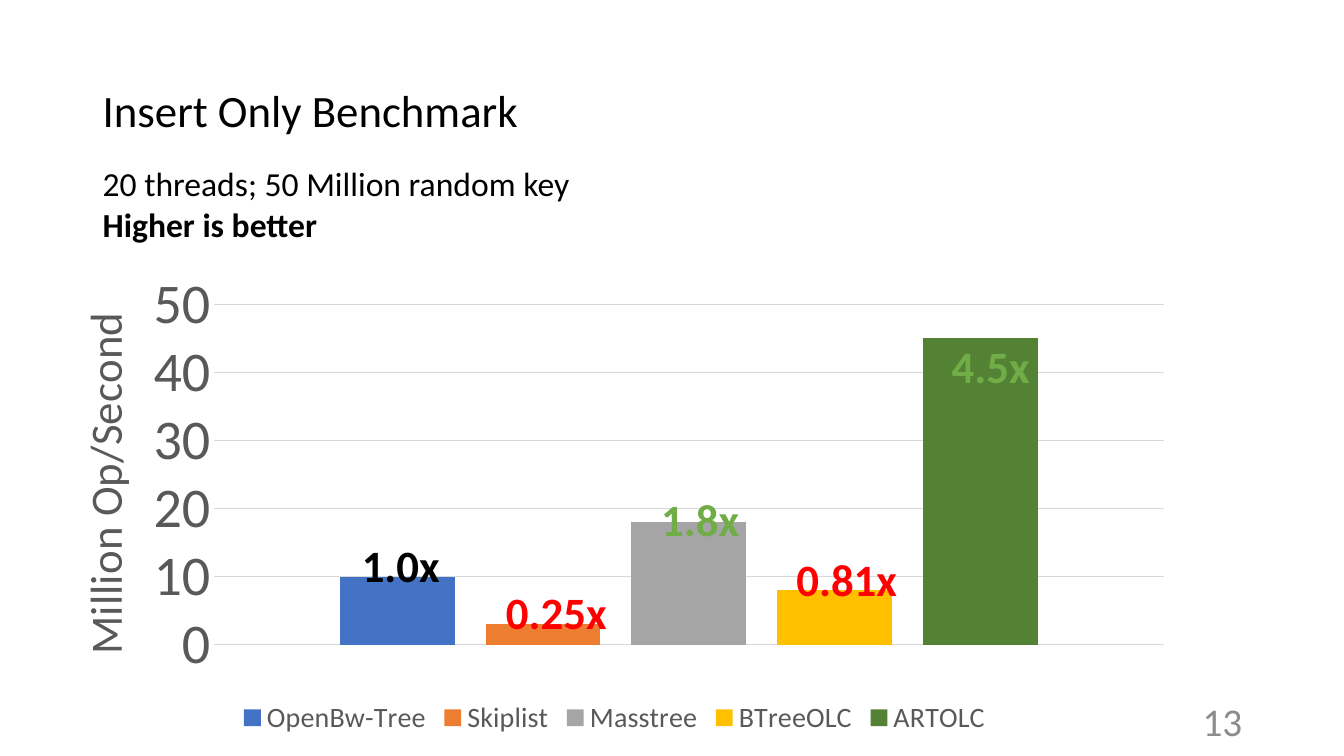
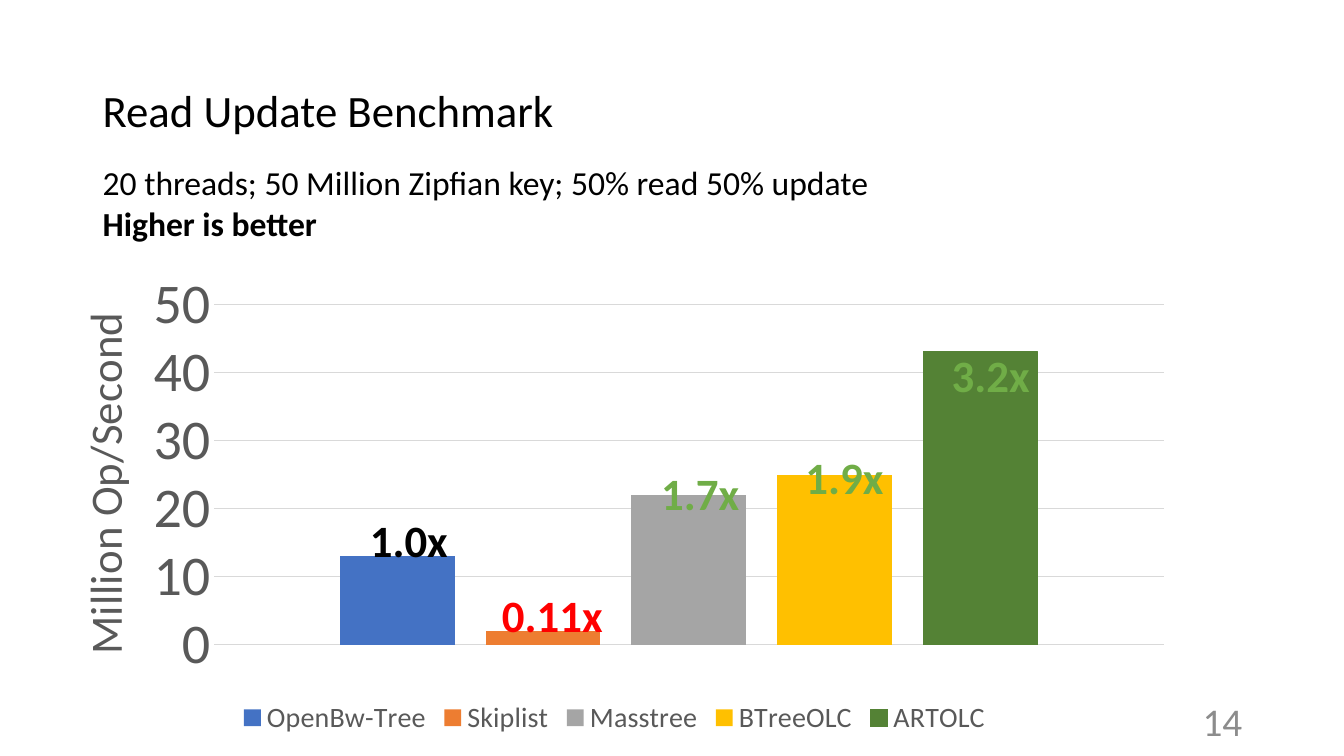
"""Build two benchmark slides, each with a column chart and speed-up labels."""
from lxml import etree
from pptx import Presentation
from pptx.chart.data import CategoryChartData as Data
from pptx.dml.color import RGBColor as RGB
from pptx.enum.chart import XL_CHART_TYPE as Kind, XL_LEGEND_POSITION as Side, XL_TICK_MARK as Tick
from pptx.enum.text import MSO_ANCHOR as Anchor, MSO_AUTO_SIZE as Auto, PP_ALIGN as Align
from pptx.oxml.ns import qn
from pptx.util import Inches, Pt

HUES = {"ink": "000000", "axis": "595959", "grid": "D9D9D9", "page": "8C8C8C",
        "slow": "FF0000", "fast": "70AD47"}
TREES = {"OpenBw-Tree": "4472C4", "Skiplist": "ED7D31", "Masstree": "A5A5A5",
         "BTreeOLC": "FFC000", "ARTOLC": "548235"}
FONTS = {"title": (32, False, "ink"), "note": (24, False, "ink"), "strong": (24, True, "ink"),
         "page": (28, False, "page"), "name": (32, False, "axis"), "tick": (40, False, "axis"),
         "key": (20, False, "axis"), "base": (32, True, "ink"), "slow": (32, True, "slow"),
         "fast": (32, True, "fast")}
DECK = [
    {"title": "Insert Only Benchmark", "page": 13,
     "note": "20 threads; 50 Million random key", "box": (0.92, 1.57, 5.12, 0.91),
     "rates": [10, 3, 18, 8, 45], "edge": None,
     "gains": [("1.0x", "base", 3.49, 5.29), ("0.25x", "slow", 4.92, 5.75),
               ("1.8x", "fast", 6.46, 4.83), ("0.81x", "slow", 7.8, 5.42),
               ("4.5x", "fast", 9.34, 3.31)]},
    {"title": "Read Update Benchmark", "page": 14,
     "note": "20 threads; 50 Million Zipfian key; 50% read 50% update",
     "box": (0.92, 1.56, 8.04, 0.91),
     "rates": [13, 2, 22, 25, 43], "edge": "ARTOLC",
     "gains": [("1.0x", "base", 3.57, 5.04), ("0.11x", "slow", 4.88, 5.78),
               ("1.7x", "fast", 6.46, 4.57), ("1.9x", "fast", 7.89, 4.41),
               ("3.2x", "fast", 9.34, 3.4)]},
]


def style(font, look):
    size, bold, hue = FONTS[look]
    for key, val in {"name": "Calibri", "size": Pt(size), "bold": bold}.items():
        setattr(font, key, val)
    font.color.rgb = RGB.from_string(HUES[hue])


def write(slide, box, lines, **form):
    frame = slide.shapes.add_textbox(*map(Inches, box)).text_frame
    for key, val in form.items():
        setattr(frame, key, val)
    for i, (text, look) in enumerate(lines):
        para = frame.add_paragraph() if i else frame.paragraphs[0]
        run = para.add_run()
        run.text = text
        style(run.font, look)
    return frame.paragraphs[0]


FIXED = {"word_wrap": True, "vertical_anchor": Anchor.MIDDLE}
GROW = {"word_wrap": False, "auto_size": Auto.SHAPE_TO_FIT_TEXT}

prs = Presentation()
prs.slide_width, prs.slide_height = Inches(13.33), Inches(7.5)

for item in DECK:
    slide = prs.slides.add_slide(prs.slide_layouts[6])
    head = write(slide, (0.92, 0.4, 11.5, 1.45), [(item["title"], "title")], **FIXED)
    head.line_spacing = 0.9
    foot = write(slide, (9.42, 6.95, 3, 0.4), [(str(item["page"]), "page")], **FIXED)
    foot.alignment = Align.RIGHT

    data = Data()
    data.categories = ["1"]
    for tree, rate in zip(TREES, item["rates"]):
        data.add_series(tree, [rate])
    area = map(Inches, (0.42, 2.59, 11.35, 4.76))
    chart = slide.shapes.add_chart(Kind.COLUMN_CLUSTERED, *area, data).chart
    chart.font.name, chart.font.size = "Calibri", Pt(10)
    chart.has_title = False
    chart.has_legend = True
    chart.legend.position = Side.BOTTOM
    chart.legend.include_in_layout = False
    style(chart.legend.font, "key")

    plot = chart.plots[0]
    for key, val in {"gap_width": 219, "overlap": -27, "vary_by_categories": False}.items():
        setattr(plot, key, val)
    for bar in plot.series:
        tone = RGB.from_string(TREES[bar.name])
        bar.format.fill.solid()
        bar.format.fill.fore_color.rgb = tone
        if bar.name == item["edge"]:
            bar.format.line.color.rgb = tone
            bar.format.line.width = Pt(0.75)

    chart.category_axis.visible = False
    axis = chart.value_axis
    for key, val in {"minimum_scale": 0, "maximum_scale": 50, "major_unit": 10,
                     "major_tick_mark": Tick.NONE, "minor_tick_mark": Tick.NONE}.items():
        setattr(axis, key, val)
    axis.format.line.fill.background()
    grid = axis.major_gridlines.format.line
    grid.color.rgb = RGB.from_string(HUES["grid"])
    grid.width = Pt(0.75)
    style(axis.tick_labels.font, "tick")
    label = axis.axis_title.text_frame
    label.text = "Million Op/Second"
    style(label.paragraphs[0].runs[0].font, "name")
    label._txBody.find(qn("a:bodyPr")).set("rot", "-5400000")

    spots = [(axis.axis_title._element, {"x": 0.02, "y": 0.09}),
             (chart._chartSpace.chart.plotArea, {"x": 0.15, "y": 0.09, "w": 0.83, "h": 0.71})]
    for node, spot in spots:
        lay = node.find(qn("c:layout"))
        if lay is None:
            lay = etree.Element(qn("c:layout"))
            node.insert(0 if node.find(qn("c:tx")) is None else 1, lay)
        form = etree.SubElement(lay, qn("c:manualLayout"))
        if "w" in spot:
            etree.SubElement(form, qn("c:layoutTarget")).set("val", "inner")
        for key in "xy":
            etree.SubElement(form, qn(f"c:{key}Mode")).set("val", "edge")
        for key, val in spot.items():
            etree.SubElement(form, qn(f"c:{key}")).set("val", str(val))

    write(slide, item["box"], [(item["note"], "note"), ("Higher is better", "strong")], **GROW)
    for text, look, left, top in item["gains"]:
        wide = 1.21 if len(text) > 4 else 0.98
        write(slide, (left, top, wide, 0.64), [(text, look)], **GROW)

prs.save("out.pptx")
